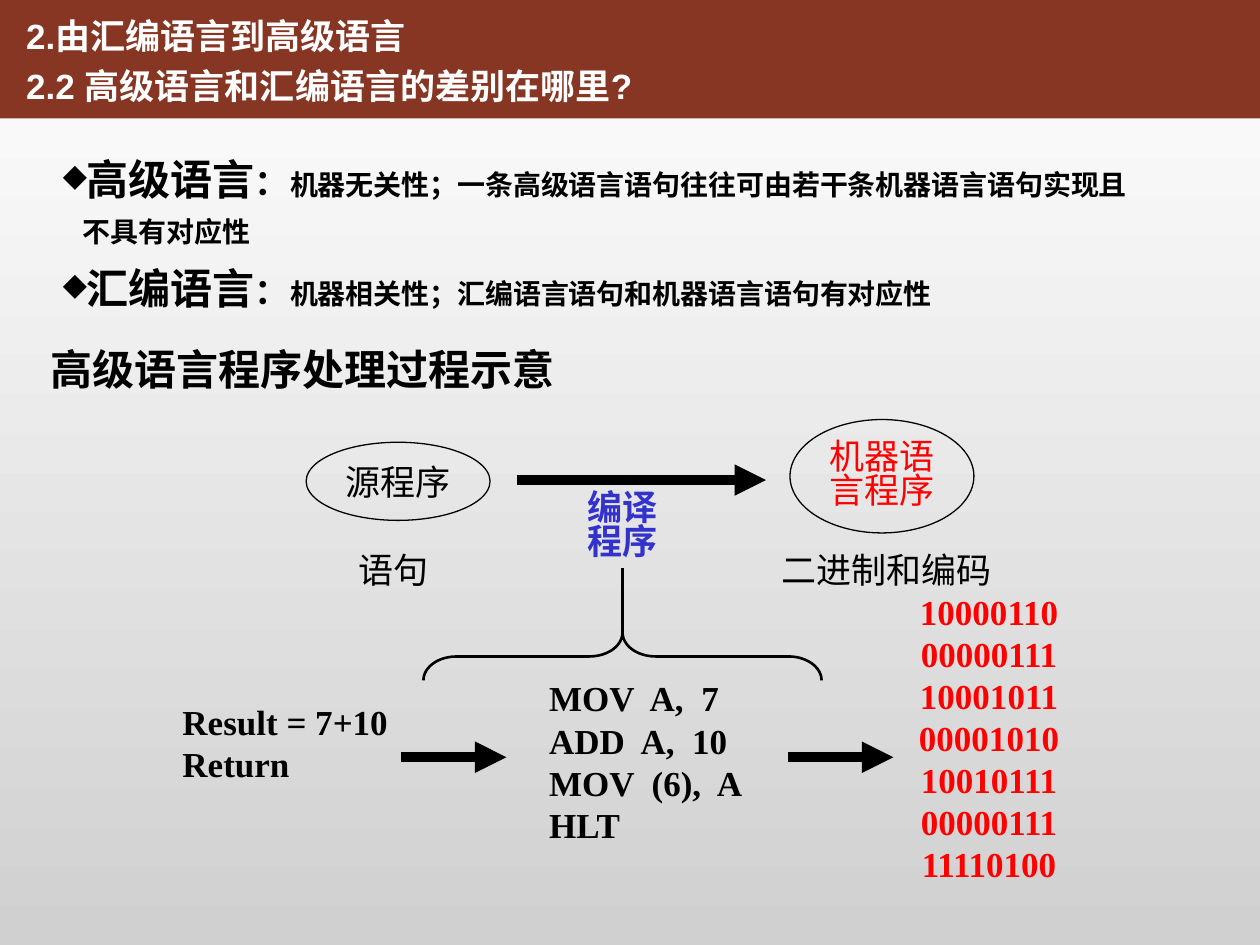
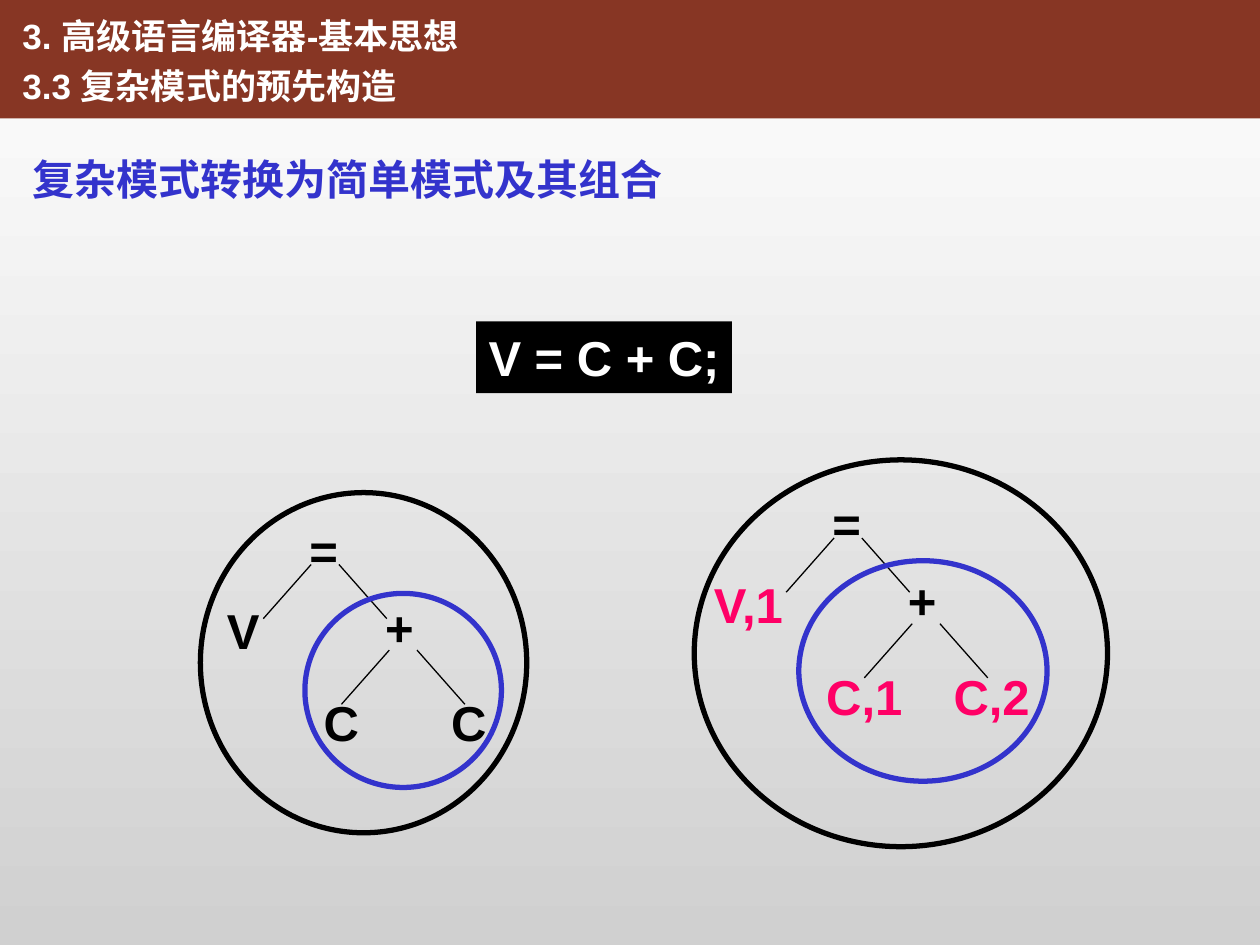
from lxml import etree
from pptx import Presentation
from pptx.dml.color import RGBColor
from pptx.enum.lang import MSO_LANGUAGE_ID
from pptx.enum.shapes import MSO_CONNECTOR, MSO_SHAPE
from pptx.enum.text import MSO_ANCHOR, PP_ALIGN
from pptx.oxml.ns import qn
from pptx.util import Inches, Pt

BLACK = RGBColor(0x00, 0x00, 0x00)
WHITE = RGBColor(0xFF, 0xFF, 0xFF)
SILVER = RGBColor(0xD0, 0xD0, 0xD0)
BROWN = RGBColor(0x87, 0x36, 0x24)
BLUE = RGBColor(0x33, 0x33, 0xCC)
RED = RGBColor(0xFF, 0x00, 0x00)
PINK = RGBColor(0xFF, 0x00, 0x66)
SANS, SERIF = "Arial", "Times New Roman"
LEFT, CENTER = PP_ALIGN.LEFT, PP_ALIGN.CENTER
TOP, MIDDLE = MSO_ANCHOR.TOP, MSO_ANCHOR.MIDDLE
CHINESE = MSO_LANGUAGE_ID.SIMPLIFIED_CHINESE
STRAIGHT = MSO_CONNECTOR.STRAIGHT
RECTANGLE, OVAL, BRACE = MSO_SHAPE.RECTANGLE, MSO_SHAPE.OVAL, MSO_SHAPE.LEFT_BRACE
BOTTOM_SIDE = 2


def add_bullet(para):
    """Give a paragraph a small black diamond with a hanging indent."""
    properties = para._p.get_or_add_pPr()
    properties.set("marL", str(Inches(0.24)))
    properties.set("indent", str(-Inches(0.16)))
    color = etree.SubElement(properties, qn("a:buClr"))
    etree.SubElement(color, qn("a:srgbClr"), val=str(BLACK))
    etree.SubElement(properties, qn("a:buSzPct"), val="75000")
    etree.SubElement(properties, qn("a:buChar"), char="◆")


def write(shape, text, size=20, font=SERIF, color=BLACK, bold=False, align=CENTER,
          anchor=MIDDLE, spacing=None, wrap=False, bullet=False):
    """Write lines into a shape; a line is a string or a list of (text, size) spans."""
    frame = shape.text_frame
    frame.word_wrap = wrap
    frame.vertical_anchor = anchor
    lines = text.split("\n") if isinstance(text, str) else text
    for index, line in enumerate(lines):
        para = frame.paragraphs[0] if index == 0 else frame.add_paragraph()
        para.alignment = align
        if spacing:
            para.line_spacing = spacing
        if bullet:
            add_bullet(para)
        for words, points in [(line, size)] if isinstance(line, str) else line:
            span = para.add_run()
            span.text = words
            span.font.size = Pt(points)
            span.font.name = font
            span.font.bold = bold
            span.font.color.rgb = color
            span.font.language_id = CHINESE


class Lecture:
    """Holds the deck style and the slide being drawn."""

    def __init__(self):
        self.deck = Presentation()
        self.deck.slide_width, self.deck.slide_height = Inches(10), Inches(7.5)
        self.page = None
        fill = self.deck.slide_master.background.fill
        fill.gradient()
        fill.gradient_angle = 270
        for stop, color in zip(fill.gradient_stops, (WHITE, SILVER)):
            stop.color.rgb = color

    def start(self, title, left, width):
        """Begin a slide with its title band."""
        self.page = self.deck.slides.add_slide(self.deck.slide_layouts[6])
        self.shape(RECTANGLE, 0, 0, 10, 0.94, fill=BROWN)
        self.text(title, left, 0, width, 0.9, font=SANS, color=WHITE, bold=True,
                  align=LEFT, anchor=TOP, spacing=1.2)

    def shape(self, kind, left, top, width, height, fill=None, line=None, weight=0.75):
        """Draw a preset shape."""
        shape = self.page.shapes.add_shape(
            kind, Inches(left), Inches(top), Inches(width), Inches(height))
        shape.shadow.inherit = False
        if fill is None:
            shape.fill.background()
        else:
            shape.fill.solid()
            shape.fill.fore_color.rgb = fill
        if line is None:
            shape.line.fill.background()
        else:
            shape.line.color.rgb = line
            shape.line.width = Pt(weight)
        return shape

    def text(self, text, left, top, width, height, **style):
        """Place a text box."""
        box = self.page.shapes.add_textbox(
            Inches(left), Inches(top), Inches(width), Inches(height))
        write(box, text, **style)
        return box

    def heading(self, text, left, top, color=BLACK):
        """Place a section heading."""
        self.text(text, left, top, 9.2, 0.62, size=24, color=color, bold=True,
                  align=LEFT, anchor=TOP, spacing=1.3, wrap=True)

    def line(self, start, end, weight=0.75, arrow=False):
        """Draw a straight line or arrow."""
        line = self.page.shapes.add_connector(STRAIGHT, *map(Inches, start + end))
        line.line.color.rgb = BLACK
        line.line.width = Pt(weight)
        properties = line._element.spPr
        if arrow:
            etree.SubElement(properties.find(qn("a:ln")), qn("a:tailEnd"), type="triangle")
        etree.SubElement(properties, qn("a:effectLst"))
        return line

    def tree(self, right, down, leaves, leaf_color, first_center):
        """Draw an assignment tree moved right and down, with three leaves."""
        target, first, second = leaves
        nodes = [
            (target, first_center, 4.72, leaf_color),
            ("=", 2.57 + right, 4.08, BLACK),
            ("+", 3.17 + right, 4.69, BLACK),
            (first, 2.71 + right, 5.45, leaf_color),
            (second, 3.72 + right, 5.45, leaf_color),
        ]
        for label, center, top, color in nodes:
            self.text(label, center - 0.5, top + down, 1, 0.57, size=28,
                      font=SANS, color=color, bold=True, anchor=TOP)
        for x, y in ((2.47, 4.48), (3.09, 5.16)):
            x, y = x + right, y + down
            self.line((x, y), (x - 0.38, y + 0.43))
            self.line((x + 0.22, y), (x + 0.6, y + 0.43))

    def ring(self, left, top, width, height, color):
        """Circle a pattern."""
        self.shape(OVAL, left, top, width, height, line=color, weight=3)


def draw_languages(lecture):
    """Draw the comparison of high-level and assembly languages."""
    lecture.start("2.由汇编语言到高级语言\n2.2 高级语言和汇编语言的差别在哪里?", 0.11, 5.22)
    definitions = [
        ("高级语言", "机器无关性；一条高级语言语句往往可由若干条机器语言语句实现且不具有对应性"),
        ("汇编语言", "机器相关性；汇编语言语句和机器语言语句有对应性"),
    ]
    lecture.text([[(term, 24), ("：", 20), (meaning, 16)] for term, meaning in definitions],
                 0.32, 1.05, 8.92, 1.49, bold=True, align=LEFT, anchor=TOP,
                 spacing=1.3, wrap=True, bullet=True)
    lecture.heading("高级语言程序处理过程示意", 0.3, 2.56)

    source = lecture.shape(OVAL, 2.43, 3.51, 1.46, 0.62, line=BLACK)
    write(source, "源程序")
    machine = lecture.shape(OVAL, 6.27, 3.33, 1.46, 0.9, line=BLACK)
    write(machine, "机器语\n言程序", color=RED, spacing=0.8)
    lecture.text("语句", 2.52, 4.3, 1.2, 0.44)
    lecture.text("二进制和编码", 6.01, 4.3, 2.06, 0.44)
    compiler = lecture.text("编译\n程序", 4.44, 3.86, 1, 0.65, color=BLUE, bold=True,
                            spacing=0.8)

    lecture.text("Result = 7+10\nReturn", 1.35, 5.51, 1.9, 0.77, bold=True, align=LEFT)
    lecture.text("MOV  A,  7\nADD  A,  10\nMOV  (6),  A\nHLT", 4.26, 5.32, 1.9, 1.44,
                 bold=True, align=LEFT)
    lecture.text("10000110\n00000111\n10001011\n00001010\n10010111\n00000111\n11110100",
                 7.1, 4.63, 1.5, 2.44, color=RED, bold=True)

    for left, y, length in ((4.1, 3.81, 1.98), (3.18, 6.01, 0.84), (6.25, 6.01, 0.84)):
        lecture.line((left, y), (left + length, y), weight=6, arrow=True)
    brace = lecture.shape(BRACE, 4.75, 3.63, 0.38, 3.16, line=BLACK, weight=1.5)
    brace.rotation = 90
    brace.adjustments[0] = 0.69
    stem = lecture.line((4.94, 4.51), (4.94, 5.05), weight=1.5)
    stem.begin_connect(compiler, BOTTOM_SIDE)


def draw_patterns(lecture):
    """Draw the split of a complex pattern into simple ones."""
    lecture.start("3. 高级语言编译器-基本思想\n3.3 复杂模式的预先构造", 0.08, 3.86)
    lecture.heading("复杂模式转换为简单模式及其组合", 0.16, 1.05, color=BLUE)
    statement = lecture.shape(RECTANGLE, 3.78, 2.55, 2.03, 0.57, fill=BLACK)
    write(statement, "V = C + C;", size=28, font=SANS, color=WHITE, bold=True, anchor=TOP)
    lecture.tree(0, 0, ("V", "C", "C"), BLACK, 1.93)
    lecture.tree(4.15, -0.21, ("V,1", "C,1", "C,2"), PINK, 5.94)
    lecture.ring(2.42, 4.71, 1.56, 1.54, BLUE)
    lecture.ring(1.59, 3.91, 2.59, 2.7, BLACK)
    lecture.ring(6.34, 4.45, 1.97, 1.75, BLUE)
    lecture.ring(5.51, 3.65, 3.28, 3.07, BLACK)


def main():
    """Build and save the deck."""
    lecture = Lecture()
    draw_languages(lecture)
    draw_patterns(lecture)
    lecture.deck.save("out.pptx")


if __name__ == "__main__":
    main()
